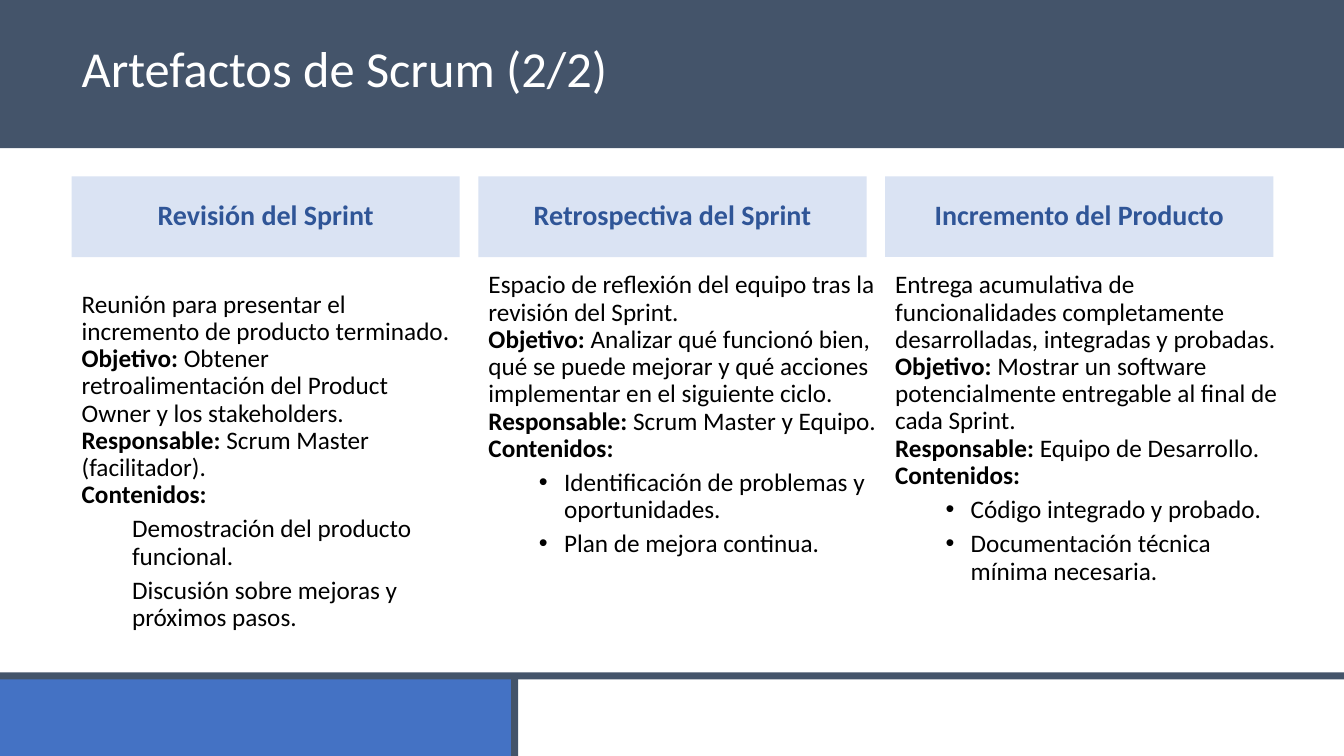
from copy import deepcopy

from lxml import etree
from pptx import Presentation
from pptx.dml.color import RGBColor
from pptx.enum.shapes import MSO_SHAPE
from pptx.enum.text import MSO_ANCHOR, MSO_AUTO_SIZE, PP_ALIGN
from pptx.oxml.ns import qn
from pptx.util import Inches, Pt

RECT = MSO_SHAPE.RECTANGLE
TOP, MIDDLE = MSO_ANCHOR.TOP, MSO_ANCHOR.MIDDLE
LEFT, CENTER = PP_ALIGN.LEFT, PP_ALIGN.CENTER
NO_FIT = MSO_AUTO_SIZE.NONE
FONT = "Calibri"
COLORS = {"slate": "44546A", "blue": "4472C4", "pale": "DAE3F3",
          "navy": "2F5597", "black": "000000", "white": "FFFFFF"}

TITLE = "Artefactos de Scrum (2/2)"
COLUMNS = [
    {"head": "Revisión del Sprint",
     "intro": "Reunión para presentar el incremento de producto terminado.",
     "goal": "Obtener retroalimentación del Product Owner y los stakeholders.",
     "owner": "Scrum Master (facilitador).",
     "items": ["Demostración del producto funcional.",
               "Discusión sobre mejoras y próximos pasos."],
     "bullet": None, "top": 2.84, "width": 3.85},
    {"head": "Retrospectiva del Sprint",
     "intro": "Espacio de reflexión del equipo tras la revisión del Sprint.",
     "goal": "Analizar qué funcionó bien, qué se puede mejorar y qué acciones "
             "implementar en el siguiente ciclo.",
     "owner": "Scrum Master y Equipo.",
     "items": ["Identificación de problemas y oportunidades.",
               "Plan de mejora continua."],
     "bullet": "•", "top": 2.65, "width": 4.14},
    {"head": "Incremento del Producto",
     "intro": "Entrega acumulativa de funcionalidades completamente "
              "desarrolladas, integradas y probadas.",
     "goal": "Mostrar un software potencialmente entregable al final de cada "
             "Sprint.",
     "owner": "Equipo de Desarrollo.",
     "items": ["Código integrado y probado.",
               "Documentación técnica mínima necesaria."],
     "bullet": "•", "top": 2.65, "width": 4.14},
]
BANDS = [
    (0, 0, 13.33, 1.47, "slate"),
    (0, 6.68, 5.09, 0.82, "blue"),
    (0, 6.67, 13.33, 0.07, "slate"),
    (5.07, 6.69, 0.07, 0.81, "slate"),
]
MARGIN, STEP, HEAD_W = 0.71, 4.035, 3.85
HEAD_TOP, HEAD_H, BODY_END = 1.75, 0.8, 6.61


def place(shape, left, top, width, height):
    shape.left, shape.top = Inches(left), Inches(top)
    shape.width, shape.height = Inches(width), Inches(height)


def paint(shape, color):
    shape.fill.solid()
    shape.fill.fore_color.rgb = RGBColor.from_string(COLORS[color])


def set_frame(shape, anchor):
    frame = shape.text_frame
    frame.word_wrap = True
    frame.auto_size = NO_FIT
    frame.vertical_anchor = anchor
    return frame


def write(para, lines, size=18, color="black", align=LEFT, level=0, before=0,
          margin=0, hang=0, bullet=None):
    """Fill a paragraph with lines, each a list of (text, bold) parts."""
    para.level, para.alignment = level, align
    para.line_spacing, para.space_before = 0.9, Pt(before)
    props = para._p.get_or_add_pPr()
    props.set("marL", str(Inches(margin)))
    props.set("indent", str(Inches(-hang)))
    if bullet:
        etree.SubElement(props, qn("a:buFont")).set("typeface", "Arial")
        etree.SubElement(props, qn("a:buChar")).set("char", bullet)
    else:
        etree.SubElement(props, qn("a:buNone"))
    for i, line in enumerate(lines):
        if i:
            para.add_line_break()
            para._p[-1].append(deepcopy(run._r.rPr))
        for text, bold in line:
            run = para.add_run()
            run.text = text
            run.font.name, run.font.size, run.font.bold = FONT, Pt(size), bold
            run.font.color.rgb = RGBColor.from_string(COLORS[color])


def add_bands(slide):
    """Add the coloured bands behind the placeholders."""
    tree = slide.shapes._spTree
    for i, (left, top, width, height, color) in enumerate(BANDS):
        band = slide.shapes.add_shape(RECT, Inches(left), Inches(top),
                                      Inches(width), Inches(height))
        band.shadow.inherit = False
        paint(band, color)
        band.line.fill.background()
        tree.insert(2 + i, band._element)


def add_column(head, body, left, data):
    place(head, left, HEAD_TOP, HEAD_W, HEAD_H)
    paint(head, "pale")
    write(set_frame(head, MIDDLE).paragraphs[0], [[(data["head"], True)]],
          size=20, color="navy", align=CENTER)

    place(body, left, data["top"], data["width"], BODY_END - data["top"])
    frame = set_frame(body, TOP)
    write(frame.paragraphs[0], [
        [(data["intro"], False)],
        [("Objetivo:", True), (" " + data["goal"], False)],
        [("Responsable:", True), (" " + data["owner"], False)],
        [("Contenidos:", True)],
    ])
    hang = 0.25 if data["bullet"] else 0
    for item in data["items"]:
        write(frame.add_paragraph(), [[(item, False)]], level=1, before=5,
              margin=0.5 + hang, hang=hang, bullet=data["bullet"])


def main():
    deck = Presentation()
    deck.slide_width, deck.slide_height = Inches(13.33), Inches(7.5)
    slide = deck.slides.add_slide(deck.slide_layouts.get_by_name("Comparison"))
    add_bands(slide)

    title = slide.shapes.title
    place(title, MARGIN, 0.2, 11.92, 1.02)
    write(set_frame(title, MIDDLE).paragraphs[0], [[(TITLE, False)]],
          size=36, color="white")

    holders = {p.placeholder_format.idx: p for p in slide.placeholders}
    pairs = [(holders[1], holders[2]), (holders[3], holders[4]),
             tuple(slide.shapes.add_textbox(0, 0, 0, 0) for _ in range(2))]
    for i, ((head, body), data) in enumerate(zip(pairs, COLUMNS)):
        add_column(head, body, MARGIN + i * STEP, data)
    deck.save("out.pptx")


if __name__ == "__main__":
    main()
